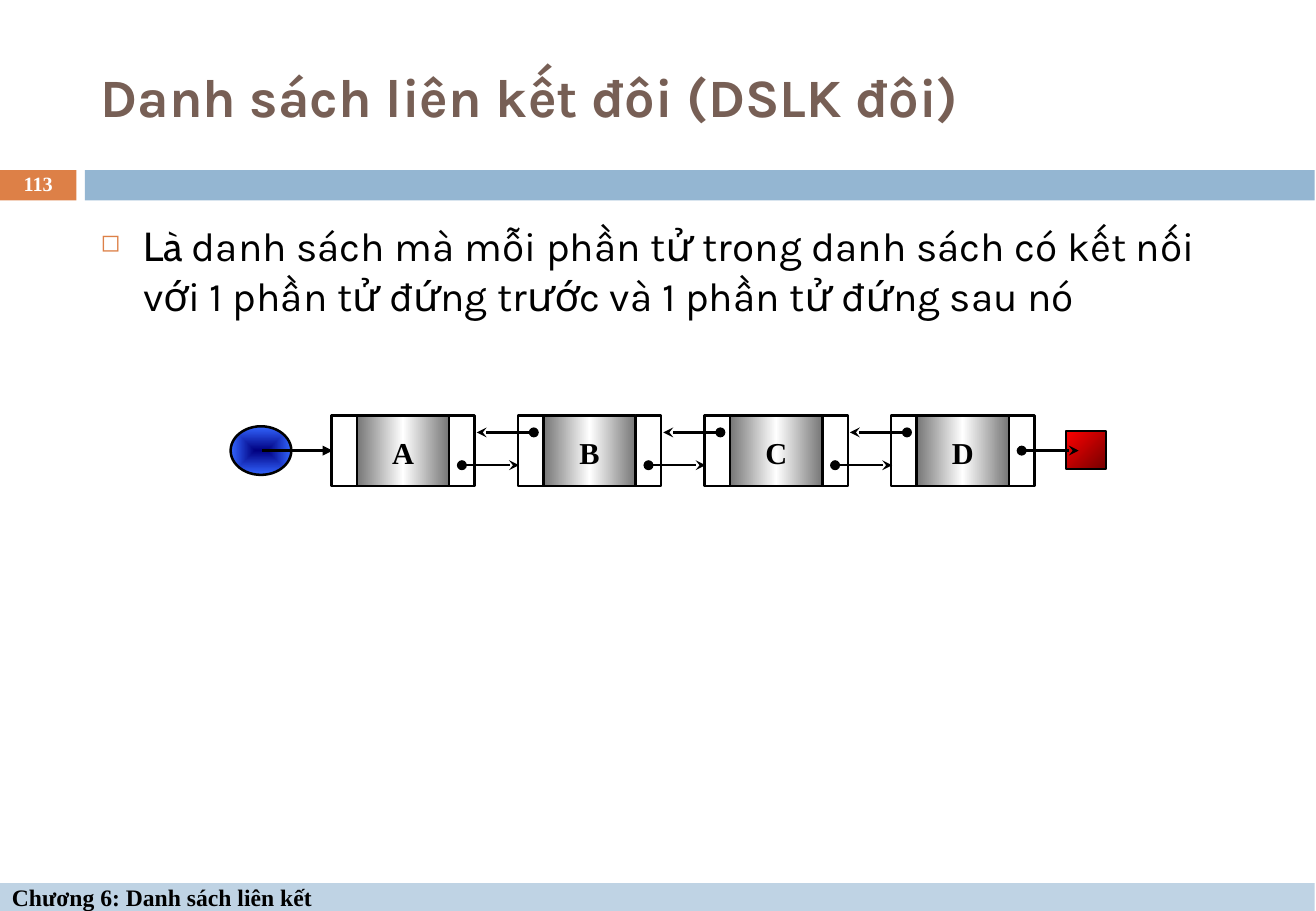
from lxml import etree
from pptx import Presentation
from pptx.dml.color import RGBColor
from pptx.enum.shapes import MSO_CONNECTOR, MSO_SHAPE
from pptx.enum.text import MSO_ANCHOR, PP_ALIGN
from pptx.oxml.ns import qn
from pptx.util import Inches, Pt

RECTANGLE, OVAL = MSO_SHAPE.RECTANGLE, MSO_SHAPE.OVAL
STRAIGHT = MSO_CONNECTOR.STRAIGHT
TOP, MIDDLE = MSO_ANCHOR.TOP, MSO_ANCHOR.MIDDLE
LEFT, CENTER = PP_ALIGN.LEFT, PP_ALIGN.CENTER

# Content
TITLE = "Danh sách liên kết đôi (DSLK đôi)"
DEFINITION = [
    ("Là ", "lead"),
    ("danh sách mà mỗi phần tử trong danh sách có kết nối "
     "với 1 phần tử đứng trước và 1 phần tử đứng sau nó", "body"),
]
PAGE_NUMBER = "113"
FOOTER = "Chương 6: Danh sách liên kết"
NODES = ["A", "B", "C", "D"]

# Theme
THEME = {
    "orange": "DD8047", "blue": "94B6D2", "pale": "BFD3E4", "ink": "000000",
    "line_width": Pt(1.5),
    "data": ([(0, "767676"), (50, "FFFFFF"), (100, "767676")], 0),
    "start": ([(0, "000080"), (100, "3366FF")], None),
    "end": ([(0, "FF0000"), (100, "760000")], 45),
    "text": {
        "title": ("Karla", 32, True, "775F55"),
        "lead": ("Cabin", 24, False, "000000"),
        "body": ("Karla", 24, False, "000000"),
        "footer": ("Times New Roman", 14, True, "000000"),
        "number": ("Times New Roman", 12, True, "FFFFFF"),
        "node": ("Times New Roman", 18, True, "000000"),
    },
}
MARGINS = (0.1, 0.05, 0.1, 0.05)

# Geometry of the list, in inches
FIRST_NODE, NODE_PITCH = 2.73, 1.537
NODE_TOP, NODE_HEIGHT = 3.42, 0.58
LINK_WIDTH, DATA_WIDTH = 0.21, 0.76
PREVIOUS_Y, MIDDLE_Y, NEXT_Y = 3.56, 3.71, 3.83
ARROW_LENGTH = 0.47

presentation = Presentation()
presentation.slide_width, presentation.slide_height = Inches(10.84), Inches(7.5)
slide = presentation.slides.add_slide(presentation.slide_layouts[6])


def add_element(parent, tag, **attributes):
    return etree.SubElement(parent, qn(tag), attributes)


def fill_gradient(shape, stops, angle):
    """Linear at an angle, or from the centre outwards when angle is None."""
    shape.fill.background()
    properties = shape._element.spPr
    gradient = etree.Element(qn("a:gradFill"), rotWithShape="1")
    stop_list = add_element(gradient, "a:gsLst")
    for position, color in stops:
        stop = add_element(stop_list, "a:gs", pos=str(position * 1000))
        add_element(stop, "a:srgbClr", val=color)
    if angle is None:
        centre = add_element(gradient, "a:path", path="rect")
        add_element(centre, "a:fillToRect", l="50000", t="50000", r="50000", b="50000")
    else:
        add_element(gradient, "a:lin", ang=str(angle * 60000), scaled="0")
    properties.replace(properties.find(qn("a:noFill")), gradient)


def set_outline(line):
    line.color.rgb = RGBColor.from_string(THEME["ink"])
    line.width = THEME["line_width"]


def add_box(kind, box, color=None, gradient=None, outlined=True):
    shape = slide.shapes.add_shape(kind, *map(Inches, box))
    shape.shadow.inherit = False
    if gradient:
        fill_gradient(shape, *gradient)
    elif color:
        shape.fill.solid()
        shape.fill.fore_color.rgb = RGBColor.from_string(color)
    else:
        shape.fill.background()
    if outlined:
        set_outline(shape.line)
    else:
        shape.line.fill.background()
    return shape


def write(shape, runs, anchor=MIDDLE, align=LEFT, margins=MARGINS):
    frame = shape.text_frame
    sides = ("margin_left", "margin_top", "margin_right", "margin_bottom")
    formats = {"word_wrap": True, "vertical_anchor": anchor}
    formats.update(zip(sides, map(Inches, margins)))
    for name, value in formats.items():
        setattr(frame, name, value)
    paragraph = frame.paragraphs[0]
    paragraph.alignment = align
    for text, style in runs:
        run = paragraph.add_run()
        run.text = text
        family, size, bold, color = THEME["text"][style]
        for name, value in {"name": family, "size": Pt(size), "bold": bold}.items():
            setattr(run.font, name, value)
        run.font.color.rgb = RGBColor.from_string(color)
    return paragraph


def add_text(box, runs, **layout):
    return write(slide.shapes.add_textbox(*map(Inches, box)), runs, **layout)


def add_arrow(start_x, end_x, y, head="oval", tail="stealth"):
    arrow = slide.shapes.add_connector(STRAIGHT, *map(Inches, (start_x, y, end_x, y)))
    set_outline(arrow.line)
    properties = arrow._element.spPr
    outline = properties.find(qn("a:ln"))
    add_element(outline, "a:headEnd", type=head)
    add_element(outline, "a:tailEnd", type=tail)
    add_element(properties, "a:effectLst")


# Bands and footer
add_box(RECTANGLE, (0, 1.4, 0.63, 0.25), THEME["orange"], outlined=False)
add_box(RECTANGLE, (0.7, 1.4, 10.13, 0.25), THEME["blue"], outlined=False)
footer = add_box(RECTANGLE, (0, 7.27, 10.83, 0.23), THEME["pale"], outlined=False)
write(footer, [(FOOTER, "footer")])

# Title and definition
add_text((0.73, 0.25, 9.66, 1.08), [(TITLE, "title")])
definition = add_text((0.73, 1.75, 9.66, 4.92), DEFINITION, anchor=TOP)
definition.line_spacing = Pt(30)
bullet = definition._element.get_or_add_pPr()
bullet.set("marL", str(Inches(0.35)))
bullet.set("indent", str(-Inches(0.35)))
add_element(add_element(bullet, "a:buClr"), "a:srgbClr", val=THEME["orange"])
add_element(bullet, "a:buSzPct", val="60000")
add_element(bullet, "a:buChar", char="◻")

# Start and end of the list
add_box(OVAL, (1.9, 3.51, 0.5, 0.4), gradient=THEME["start"])
add_box(RECTANGLE, (8.78, 3.55, 0.33, 0.31), gradient=THEME["end"])
add_arrow(2.16, 2.74, MIDDLE_Y, head="none", tail="triangle")

# Nodes with links to their neighbours
for index, label in enumerate(NODES):
    left = FIRST_NODE + index * NODE_PITCH
    data_left = left + LINK_WIDTH
    next_left = data_left + DATA_WIDTH
    for link_left in (left, next_left):
        add_box(RECTANGLE, (link_left, NODE_TOP, LINK_WIDTH, NODE_HEIGHT))
    data = add_box(RECTANGLE, (data_left, NODE_TOP, DATA_WIDTH, NODE_HEIGHT),
                   gradient=THEME["data"])
    write(data, [(label, "node")], align=CENTER, margins=(0, 0.03, 0, 0))
    is_last = index == len(NODES) - 1
    next_start = next_left + LINK_WIDTH / 2
    add_arrow(next_start, next_start + ARROW_LENGTH, MIDDLE_Y if is_last else NEXT_Y)
    if index:
        previous_start = left + 0.13
        add_arrow(previous_start, previous_start - ARROW_LENGTH, PREVIOUS_Y)

# Page number
number = add_text((0, 1.39, 0.63, 0.27), [(PAGE_NUMBER, "number")], align=CENTER)
number.line_spacing = 0.8

presentation.save("out.pptx")
